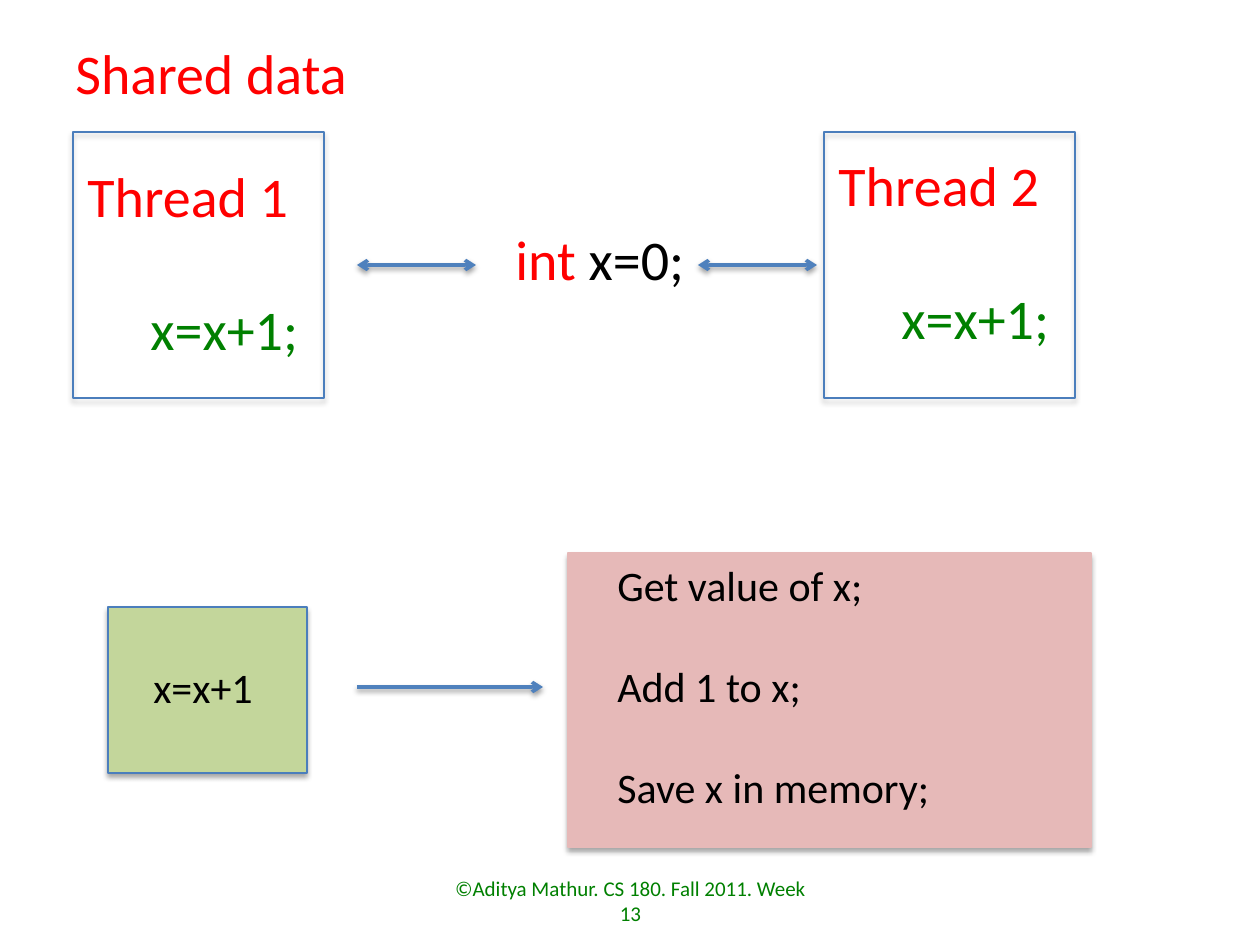
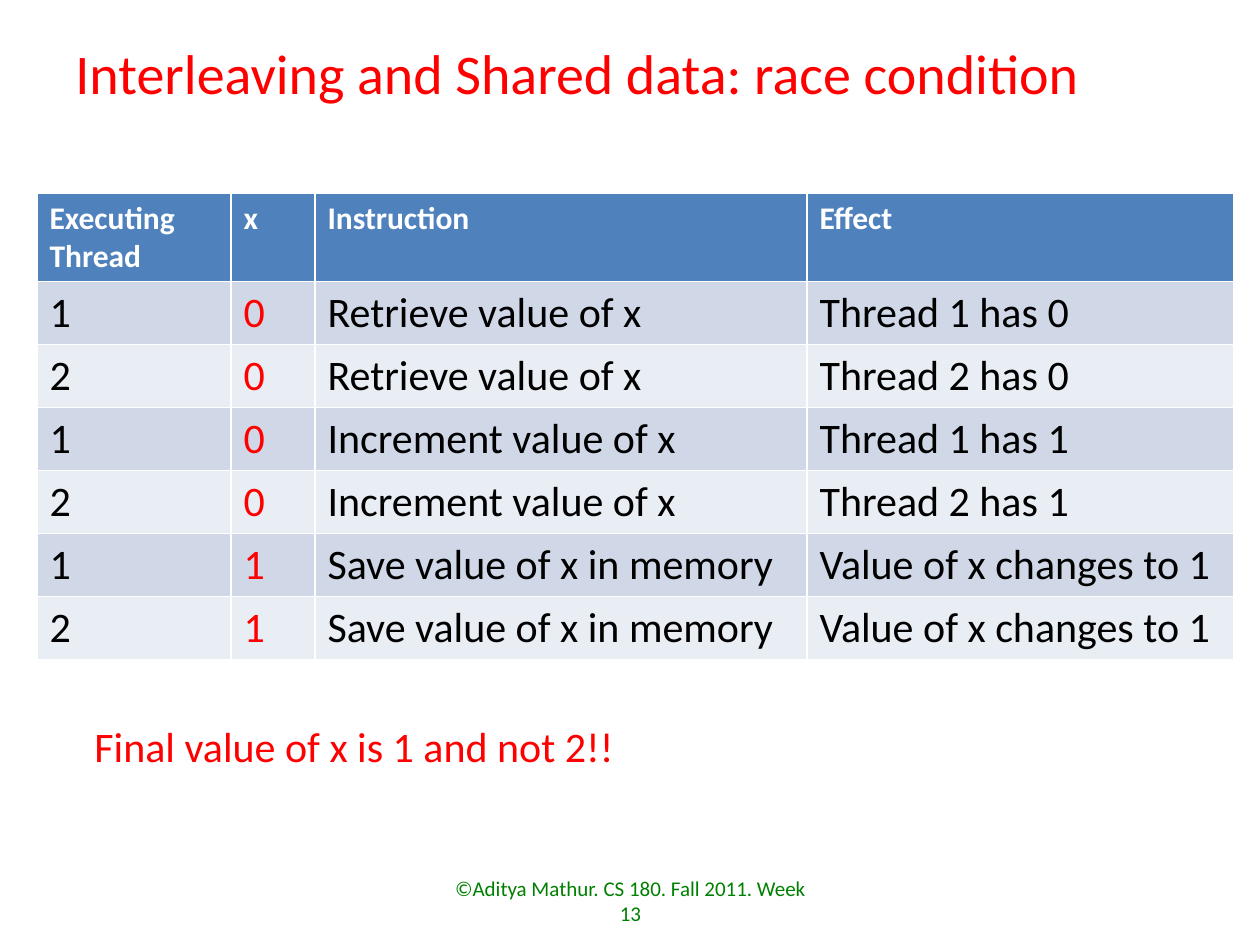
from dataclasses import dataclass

from lxml import etree
from pptx import Presentation
from pptx.dml.color import RGBColor
from pptx.enum.shapes import MSO_CONNECTOR, MSO_SHAPE
from pptx.enum.text import MSO_ANCHOR, PP_ALIGN
from pptx.oxml.ns import qn
from pptx.util import Emu, Pt

RECT = MSO_SHAPE.RECTANGLE
STRAIGHT = MSO_CONNECTOR.STRAIGHT
LEFT, CENTER = PP_ALIGN.LEFT, PP_ALIGN.CENTER
TOP, MIDDLE = MSO_ANCHOR.TOP, MSO_ANCHOR.MIDDLE

# Shared look
PX_PER_INCH = 126
FONT = "Calibri"
FOOTER = "©Aditya Mathur. CS 180. Fall 2011. Week 13"
RED = RGBColor(0xFF, 0x00, 0x00)
GREEN = RGBColor(0x00, 0x80, 0x00)
BLACK = RGBColor(0x00, 0x00, 0x00)
WHITE = RGBColor(0xFF, 0xFF, 0xFF)
BLUE = RGBColor(0x4F, 0x81, 0xBD)
OUTLINE = RGBColor(0x4B, 0x7E, 0xBC)
OLIVE = RGBColor(0xC3, 0xD6, 0x9B)
PINK = RGBColor(0xE6, 0xB9, 0xB8)
BANDS = (RGBColor(0xD0, 0xD8, 0xE8), RGBColor(0xE9, 0xED, 0xF4))


def px(n: int) -> Emu:
    return Emu(round(n * 914400 / PX_PER_INCH))


@dataclass
class Para:
    text: str
    color: RGBColor = BLACK
    size: int = 24
    before: int = 0       # points
    line: int = 0         # exact line height in points, 0 for single
    indent: int = 0       # px
    lead: str = ""        # opening words in red


@dataclass
class Label:
    x: int
    y: int
    w: int
    h: int
    paras: list[Para]
    wrap: bool = False
    align: PP_ALIGN = LEFT
    anchor: MSO_ANCHOR = TOP


@dataclass
class Box:
    x: int
    y: int
    w: int
    h: int
    fill: RGBColor | None = None
    line: RGBColor = OUTLINE


@dataclass
class Arrow:
    x1: int
    x2: int
    y: int
    both_ends: bool = False


# Drawing
def add_shadow(sp, dist: float, alpha: int) -> None:
    """Append a soft shadow falling straight down."""
    effects = etree.SubElement(sp._element.spPr, qn("a:effectLst"))
    shadow = etree.SubElement(
        effects, qn("a:outerShdw"), blurRad=str(Pt(3.1)), dist=str(Pt(dist)),
        dir="5400000", rotWithShape="0")
    color = etree.SubElement(shadow, qn("a:srgbClr"), val=str(BLACK))
    etree.SubElement(color, qn("a:alpha"), val=str(alpha * 1000))


def draw_label(slide, label: Label) -> None:
    sp = slide.shapes.add_textbox(
        px(label.x), px(label.y), px(label.w), px(label.h))
    tf = sp.text_frame
    tf.word_wrap = label.wrap
    tf.vertical_anchor = label.anchor
    for i, para in enumerate(label.paras):
        p = tf.add_paragraph() if i else tf.paragraphs[0]
        p.alignment = label.align
        p.space_before = Pt(para.before)
        if para.line:
            p.line_spacing = Pt(para.line)
        if para.indent:
            p._p.get_or_add_pPr().set("marL", str(px(para.indent)))
        p.font.name = FONT
        p.font.size = Pt(para.size)
        if para.lead:
            r = p.add_run()
            r.text = para.lead
            r.font.color.rgb = RED
        r = p.add_run()
        r.text = para.text
        r.font.color.rgb = para.color


def draw_box(slide, box: Box) -> None:
    sp = slide.shapes.add_shape(
        RECT, px(box.x), px(box.y), px(box.w), px(box.h))
    if box.fill is None:
        sp.fill.background()
    else:
        sp.fill.solid()
        sp.fill.fore_color.rgb = box.fill
    sp.line.color.rgb = box.line
    sp.line.width = Pt(0.75)
    add_shadow(sp, 1.8, 35)


def draw_arrow(slide, arrow: Arrow) -> None:
    sp = slide.shapes.add_connector(
        STRAIGHT, px(arrow.x1), px(arrow.y), px(arrow.x2), px(arrow.y))
    sp.line.color.rgb = BLUE
    sp.line.width = Pt(2)
    ln = sp.line._get_or_add_ln()
    for end in ("a:headEnd", "a:tailEnd")[0 if arrow.both_ends else 1:]:
        etree.SubElement(ln, qn(end), type="arrow")
    add_shadow(sp, 1.6, 38)


def draw_table(slide, x: int, y: int, widths: list[int], heights: list[int],
               rows: list[tuple[str, ...]]) -> None:
    table = slide.shapes.add_table(
        len(rows), len(widths), px(x), px(y),
        px(sum(widths)), px(sum(heights))).table
    for column, width in zip(table.columns, widths):
        column.width = px(width)
    for i, row in enumerate(rows):
        table.rows[i].height = px(heights[i])
        header = i == 0
        for j, text in enumerate(row):
            cell = table.cell(i, j)
            cell.fill.solid()
            cell.fill.fore_color.rgb = BLUE if header else BANDS[(i - 1) % 2]
            p = cell.text_frame.paragraphs[0]
            r = p.add_run()
            r.text = text
            r.font.name = FONT
            r.font.size = Pt(18 if header else 24)
            r.font.bold = header
            r.font.color.rgb = WHITE if header else RED if j == 1 else BLACK


def new_slide(prs, title: str, title_width: int):
    """Add a slide with the common footer and title."""
    slide = prs.slides.add_slide(prs.slide_layouts[6])
    draw_label(slide, Label(431, 876, 399, 50, [Para(FOOTER, GREEN, 12)],
                            wrap=True, align=CENTER, anchor=MIDDLE))
    draw_label(slide, Label(63, 32, title_width, 81, [Para(title, RED, 32)]))
    return slide


# Slides
def shared_data_slide(prs) -> None:
    s = new_slide(prs, "Shared data", 300)

    # Two threads using one variable
    for name, x, text_y in (("Thread 1", 73, 156), ("Thread 2", 824, 145)):
        draw_box(s, Box(x, 132, 251, 266))
        draw_label(s, Label(x + 2, text_y, 246, 219, [
            Para(name, RED, 32, line=38),
            Para("x=x+1;", GREEN, 32, before=38, line=38, indent=63),
        ], wrap=True))
    draw_label(s, Label(503, 218, 195, 81, [Para("x=0;", size=32, lead="int ")]))
    for x in (357, 698):
        draw_arrow(s, Arrow(x, x + 119, 265, both_ends=True))

    # Steps behind the statement
    draw_box(s, Box(108, 607, 199, 166, OLIVE))
    draw_label(s, Label(141, 655, 126, 63, [Para("x=x+1")]))
    draw_arrow(s, Arrow(357, 543, 687))
    draw_box(s, Box(568, 553, 523, 294, PINK, PINK))
    steps = ("Get value of x;", "Add 1 to x;", "Save x in memory;")
    draw_label(s, Label(605, 553, 340, 267, [
        Para(step, before=29 if i else 0) for i, step in enumerate(steps)]))


def race_condition_slide(prs) -> None:
    s = new_slide(prs, "Interleaving and Shared data: race condition", 1038)
    rows = [
        ("Executing Thread", "x", "Instruction", "Effect"),
        ("1", "0", "Retrieve value of x", "Thread 1 has 0"),
        ("2", "0", "Retrieve value of x", "Thread 2 has 0"),
        ("1", "0", "Increment value of x", "Thread 1 has 1"),
        ("2", "0", "Increment value of x", "Thread 2 has 1"),
        ("1", "1", "Save value of x in memory", "Value of x changes to 1"),
        ("2", "1", "Save value of x in memory", "Value of x changes to 1"),
    ]
    draw_table(s, 37, 193, [194, 84, 492, 427], [87] + [63] * 6, rows)
    draw_label(s, Label(82, 714, 551, 63,
                        [Para("Final value of x is 1 and not 2!!", RED)]))


def main() -> None:
    prs = Presentation()
    prs.slide_width, prs.slide_height = px(1260), px(945)
    shared_data_slide(prs)
    race_condition_slide(prs)
    prs.save("out.pptx")


if __name__ == "__main__":
    main()
